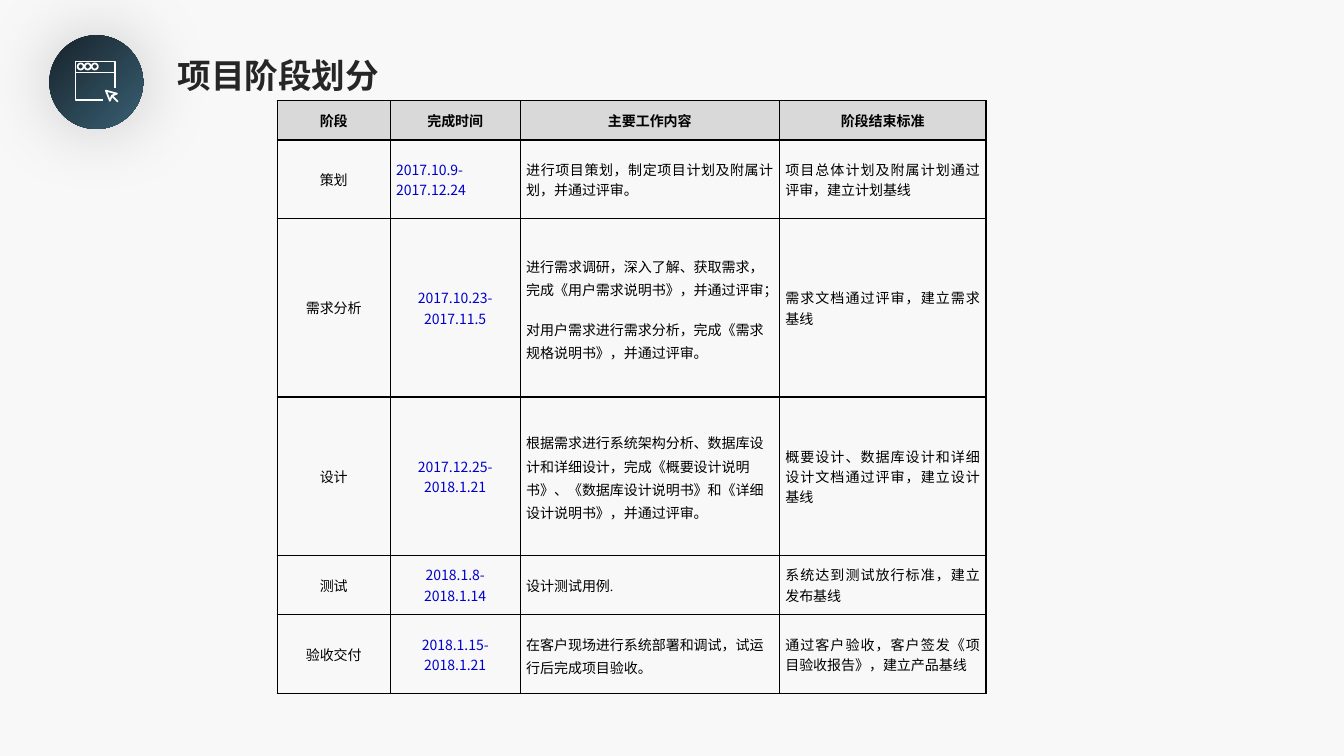
import math
import pptx
import pptx.util
import pptx.dml.color
import pptx.enum.shapes
import pptx.enum.text
import pptx.oxml
import pptx.oxml.ns
from lxml import etree

Inches, Pt = pptx.util.Inches, pptx.util.Pt
ALIGN, ANCHOR = pptx.enum.text.PP_ALIGN, pptx.enum.text.MSO_ANCHOR
SHAPE = pptx.enum.shapes.MSO_SHAPE
qn = pptx.oxml.ns.qn

# Content
TITLE = "项目阶段划分"
HEADERS = ["阶段", "完成时间", "主要工作内容", "阶段结束标准"]
STAGES = [  # stage, dates, tasks, exit standard
    ("策划", "2017.10.9-2017.12.24",
     ["进行项目策划，制定项目计划及附属计划，并通过评审。"],
     "项目总体计划及附属计划通过评审，建立计划基线"),
    ("需求分析", "2017.10.23-2017.11.5",
     ["进行需求调研，深入了解、获取需求，完成《用户需求说明书》，并通过评审；",
      "对用户需求进行需求分析，完成《需求规格说明书》，并通过评审。"],
     "需求文档通过评审，建立需求基线"),
    ("设计", "2017.12.25-2018.1.21",
     ["根据需求进行系统架构分析、数据库设计和详细设计，完成《概要设计说明书》、"
      "《数据库设计说明书》和《详细设计说明书》，并通过评审。"],
     "概要设计、数据库设计和详细设计文档通过评审，建立设计基线"),
    ("测试", "2018.1.8-2018.1.14", ["设计测试用例."],
     "系统达到测试放行标准，建立发布基线"),
    ("验收交付", "2018.1.15-2018.1.21",
     ["在客户现场进行系统部署和调试，试运行后完成项目验收。"],
     "通过客户验收，客户签发《项目验收报告》，建立产品基线"),
]
LOOSE_STAGES = {"需求分析", "设计", "验收交付"}  # tasks set left with wider lines
COLUMNS = [1.12, 1.29, 2.57, 2.05]
ROWS = [0.39, 0.78, 1.77, 1.57, 0.59, 0.78]
SANS, SERIF = "Noto Sans CJK SC", "Times New Roman"
COLORS = {"page": "F8F8F8", "title": "262626", "text": "000000", "date": "0000CC",
          "header": "D9D9D9", "dark": "17232B", "light": "395F72", "icon": "FFFFFF"}

# Icon outlines, in inches on the page
WINDOW = [(1.02, 0.99), (0.75, 0.99), (0.75, 0.61), (1.14, 0.61), (1.14, 0.87)]
TOOLBAR = [(0.75, 0.72), (1.14, 0.72)]
POINTER = [(1.05, 0.9), (1.16, 0.93), (1.11, 0.95), (1.09, 1.0), (1.05, 0.9)]
POINTER_TAIL = [(1.11, 0.95), (1.17, 1.01)]
BUTTONS = [0.8, 0.87, 0.94]


def rgb(name):
    return pptx.dml.color.RGBColor.from_string(COLORS[name])


def style(paragraph, size, face, color, bold=False):
    font = paragraph.font
    font.size, font.name, font.bold = Pt(size), face, bold
    font.color.rgb = rgb(color)
    defaults = paragraph._p.pPr.find(qn("a:defRPr"))
    etree.SubElement(defaults, qn("a:ea"), typeface=SANS)


def border(cell):
    properties = cell._tc.get_or_add_tcPr()
    for index, side in enumerate(("lnL", "lnR", "lnT", "lnB")):
        properties.insert(index, pptx.oxml.parse_xml(
            f'<a:{side} {pptx.oxml.ns.nsdecls("a")} w="12700"><a:solidFill>'
            f'<a:srgbClr val="{COLORS["text"]}"/></a:solidFill></a:{side}>'))


def fill_cell(cell, texts, align, color="text", face=SERIF, header=False,
              spaced=False, loose=False):
    cell.margin_left = cell.margin_right = Inches(0.06)
    cell.margin_top = cell.margin_bottom = 0
    cell.vertical_anchor = ANCHOR.MIDDLE
    if header:
        cell.fill.solid()
        cell.fill.fore_color.rgb = rgb("header")
    else:
        cell.fill.background()
    border(cell)
    cell.text_frame.text = "\n".join(texts)
    for paragraph in cell.text_frame.paragraphs:
        paragraph.alignment = align
        if spaced:
            paragraph.space_before = paragraph.space_after = Pt(6)
        if loose:
            paragraph.line_spacing = 1.15
        style(paragraph, 10, face, color, header)


def circle(x, y, radius, steps=16):
    angles = [2 * math.pi * step / steps for step in range(steps + 1)]
    return [(x + radius * math.cos(angle), y + radius * math.sin(angle)) for angle in angles]


def draw_icon(page, outlines):
    builder = None
    for outline in outlines:
        points = [(Inches(x), Inches(y)) for x, y in outline]
        if builder is None:
            builder = page.shapes.build_freeform(*points[0])
        else:
            builder.move_to(*points[0])
        builder.add_line_segments(points[1:], close=False)
    icon = builder.convert_to_shape()
    icon.shadow.inherit = False
    icon.fill.background()
    icon.line.color.rgb = rgb("icon")
    icon.line.width = Pt(1.25)


deck = pptx.Presentation()
deck.slide_width, deck.slide_height = Inches(13.33), Inches(7.5)
page = deck.slides.add_slide(deck.slide_layouts[5])
page.background.fill.solid()
page.background.fill.fore_color.rgb = rgb("page")

# Round badge with a soft shadow
badge = page.shapes.add_shape(SHAPE.OVAL, Inches(0.49), Inches(0.35), Inches(0.93), Inches(0.93))
badge.line.fill.background()
badge.fill.gradient()
badge.fill.gradient_angle = 315
for stop, name, position in zip(badge.fill.gradient_stops, ("dark", "light"), (0, 1)):
    stop.color.rgb = rgb(name)
    stop.position = position
badge.shadow.inherit = False
effects = badge._element.spPr.find(qn("a:effectLst"))
shadow = etree.SubElement(effects, qn("a:outerShdw"), blurRad=str(Pt(53)), dist="0", dir="0",
                          algn="ctr", rotWithShape="0")
shade = etree.SubElement(shadow, qn("a:srgbClr"), val=COLORS["text"])
etree.SubElement(shade, qn("a:alpha"), val="20000")

# Browser window icon
buttons = [circle(center, 0.66, 0.03) for center in BUTTONS]
draw_icon(page, [WINDOW, TOOLBAR, POINTER, POINTER_TAIL, *buttons])

# Title
title = page.shapes.title
title.left, title.top, title.width, title.height = map(Inches, (1.66, 0.49, 3.6, 0.5))
title.text_frame.text = TITLE
title.text_frame.vertical_anchor = ANCHOR.MIDDLE
title.text_frame.paragraphs[0].alignment = ALIGN.LEFT
style(title.text_frame.paragraphs[0], 24, SANS, "title", True)

# Stage table
table = page.shapes.add_table(len(ROWS), len(COLUMNS), Inches(2.75), Inches(1),
                              Inches(sum(COLUMNS)), Inches(sum(ROWS))).table
table.first_row = table.horz_banding = False
for column, width in zip(table.columns, COLUMNS):
    column.width = Inches(width)
for row, height in zip(table.rows, ROWS):
    row.height = Inches(height)
for index, header in enumerate(HEADERS):
    fill_cell(table.cell(0, index), [header], ALIGN.CENTER, header=True)
for row, (stage, dates, tasks, standard) in enumerate(STAGES, 1):
    loose = stage in LOOSE_STAGES
    fill_cell(table.cell(row, 0), [stage], ALIGN.CENTER)
    fill_cell(table.cell(row, 1), [dates], ALIGN.JUSTIFY if row == 1 else ALIGN.CENTER,
              "date", SANS)
    fill_cell(table.cell(row, 2), tasks, ALIGN.LEFT if loose else ALIGN.JUSTIFY,
              spaced=True, loose=loose)
    fill_cell(table.cell(row, 3), [standard], ALIGN.JUSTIFY, spaced=True)

deck.save("out.pptx")
